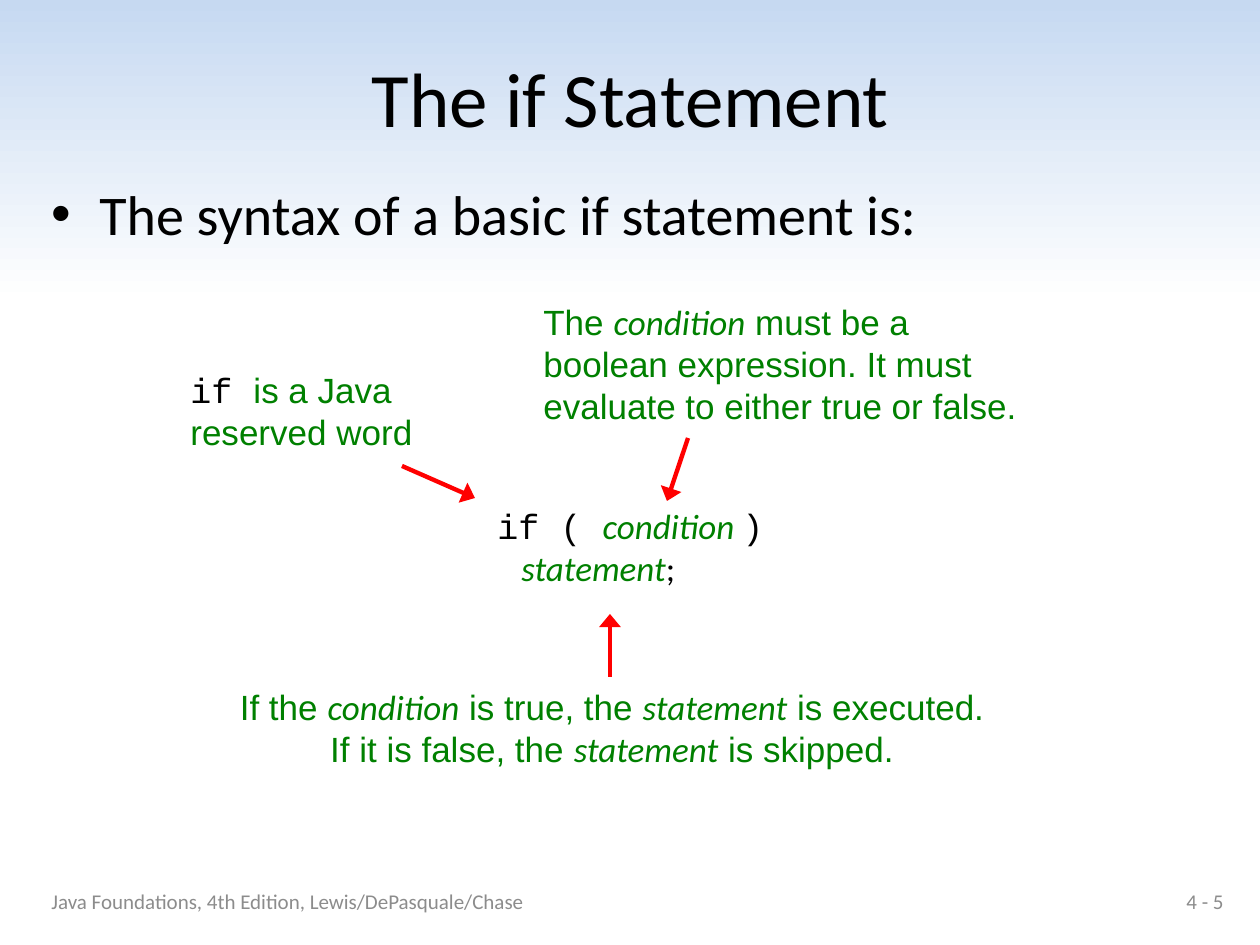
from dataclasses import dataclass

from lxml.etree import SubElement
from pptx import Presentation
from pptx.dml.color import RGBColor
from pptx.enum.shapes import MSO_CONNECTOR as Connector
from pptx.enum.text import MSO_ANCHOR as Anchor, MSO_AUTO_SIZE as AutoSize, PP_ALIGN as Align
from pptx.oxml.ns import qn
from pptx.util import Emu, Pt

EMU_PER_PX = 914400 / 126


def px(length):
    return Emu(round(length * EMU_PER_PX))


@dataclass(frozen=True)
class Theme:
    ink: str = "000000"
    green: str = "008000"
    grey: str = "8C8C8C"
    red: str = "FF0000"
    sky: str = "C6D9F1"
    white: str = "FFFFFF"
    body_font: str = "Calibri"
    note_font: str = "Arial"
    code_font: str = "Courier New"
    title_size: int = 44
    body_size: int = 32
    note_size: int = 20
    footer_size: int = 12
    arrow_width: float = 2.5


def write(paragraph, text, *, font, size, color, italic=False):
    run = paragraph.add_run()
    run.text = text
    run.font.name = font
    run.font.size = Pt(size)
    run.font.italic = italic
    run.font.color.rgb = RGBColor.from_string(color)


class SlideBuilder:
    """Draws styled elements on the current slide."""

    def __init__(self, slide, theme):
        self.slide = slide
        self.theme = theme

    def background(self):
        fill = self.slide.background.fill
        fill.gradient()
        fill.gradient_angle = 90
        stops = ((0.68, self.theme.white), (1, self.theme.sky))
        for stop, (position, color) in zip(fill.gradient_stops, stops):
            stop.position = position
            stop.color.rgb = RGBColor.from_string(color)

    def text(self, box, lines, *, align=Align.LEFT, anchor=Anchor.MIDDLE,
             wrap=True, grow=False, shapes=None):
        shapes = self.slide.shapes if shapes is None else shapes
        frame = shapes.add_textbox(*map(px, box)).text_frame
        frame.word_wrap = wrap
        frame.vertical_anchor = anchor
        frame.auto_size = AutoSize.SHAPE_TO_FIT_TEXT if grow else AutoSize.NONE
        for number, line in enumerate(lines):
            paragraph = frame.add_paragraph() if number else frame.paragraphs[0]
            paragraph.alignment = align
            for words, style in line:
                write(paragraph, words, **style)
        return frame.paragraphs

    def indent(self, paragraph, left, hanging=0, bullet=None):
        properties = paragraph._p.get_or_add_pPr()
        properties.set("marL", str(px(left)))
        properties.set("indent", str(-px(hanging)))
        if bullet:
            SubElement(properties, qn("a:buFont"), typeface=self.theme.note_font)
            SubElement(properties, qn("a:buChar"), char=bullet)

    def arrow(self, start, end, shapes):
        connector = shapes.add_connector(Connector.STRAIGHT, *map(px, start + end))
        connector.line.width = Pt(self.theme.arrow_width)
        connector.line.color.rgb = RGBColor.from_string(self.theme.red)
        SubElement(connector.line._get_or_add_ln(), qn("a:tailEnd"), type="triangle", w="lg")
        SubElement(connector._element.spPr, qn("a:effectLst"))

    def annotation(self, box, lines, start, end, **layout):
        shapes = self.slide.shapes.add_group_shape().shapes
        self.text(box, lines, grow=True, shapes=shapes, **layout)
        self.arrow(start, end, shapes)


def main():
    theme = Theme()
    deck = Presentation()
    deck.slide_width, deck.slide_height = px(1260), px(945)
    builder = SlideBuilder(deck.slides.add_slide(deck.slide_layouts[6]), theme)

    heading = dict(font=theme.body_font, size=theme.title_size, color=theme.ink)
    body = dict(heading, size=theme.body_size)
    footer = dict(heading, size=theme.footer_size, color=theme.grey)
    code = dict(font=theme.code_font, size=theme.note_size, color=theme.ink)
    note = dict(code, font=theme.note_font, color=theme.green)
    term = dict(note, font=theme.body_font, italic=True)
    mark = dict(code, font=theme.body_font)

    builder.background()
    builder.text((24, 38, 1213, 118), [[("The if Statement", heading)]], align=Align.CENTER)
    syntax = builder.text((39, 173, 1198, 703),
                          [[("The syntax of a basic if statement is:", body)]],
                          anchor=Anchor.TOP)
    builder.indent(syntax[0], 48, 48, "•")
    builder.text((39, 876, 903, 50),
                 [[("Java Foundations, 4th Edition, Lewis/DePasquale/Chase", footer)]])
    builder.text((942, 876, 294, 50), [[("4 - 5", footer)]], align=Align.RIGHT)

    statement = builder.text(
        (485, 498, 300, 97),
        [[("if ( ", code), ("condition ", term), (")", code)],
         [("statement", term), (";", mark)]],
        grow=True)
    builder.indent(statement[1], 24)

    builder.annotation(
        (178, 362, 249, 97),
        [[("if ", code), ("is a Java", note)],
         [("reserved word", note)]],
        (402, 466), (475, 498), wrap=False)
    builder.annotation(
        (531, 294, 578, 139),
        [[("The ", note), ("condition", term), (" must be a", note)],
         [("boolean expression. It must", note)],
         [("evaluate to either true or false.", note)]],
        (688, 438), (667, 501))
    builder.annotation(
        (224, 679, 776, 97),
        [[("If the ", note), ("condition", term), (" is true, the ", note),
          ("statement", term), (" is executed.", note)],
         [("If it is false, the ", note), ("statement", term), (" is skipped.", note)]],
        (610, 677), (610, 614), wrap=False, align=Align.CENTER)

    deck.save("out.pptx")


if __name__ == "__main__":
    main()
